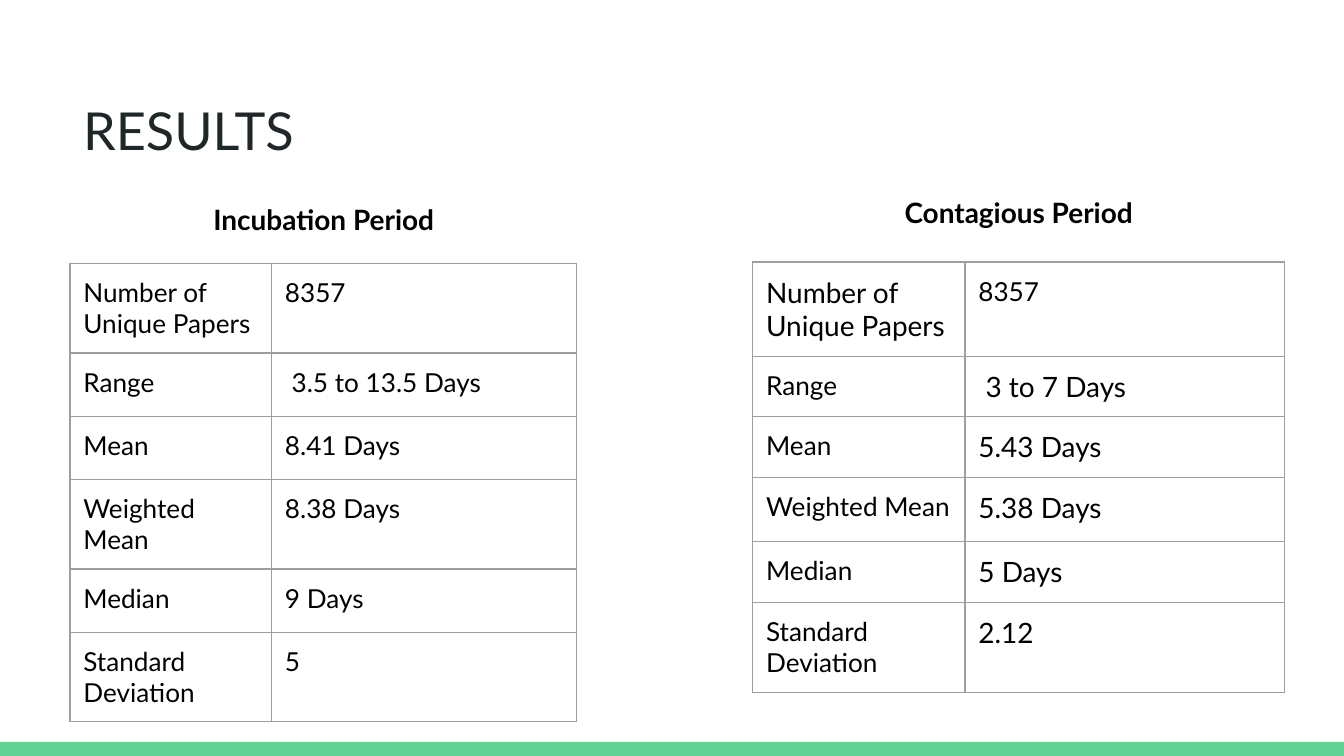
from lxml import etree
from pptx import Presentation
from pptx.dml.color import RGBColor
from pptx.enum import shapes, text
from pptx.oxml.ns import qn
from pptx.util import Inches, Pt

FONT = "Lato"
BLACK = RGBColor(0x00, 0x00, 0x00)
INK = RGBColor(0x20, 0x27, 0x29)
GREEN = RGBColor(0x63, 0xD2, 0x97)
GRAY = RGBColor(0x9E, 0x9E, 0x9E)
PAD = Inches(0.1)
LABELS = ["Number of Unique Papers", "Range", "Mean", "Weighted Mean",
          "Median", "Standard Deviation"]
INCUBATION = ["8357", " 3.5 to 13.5 Days", "8.41 Days", "8.38 Days", "9 Days", "5"]
CONTAGIOUS = ["8357", " 3 to 7 Days", "5.43 Days", "5.38 Days", "5 Days", "2.12"]


def style(par, size, color=BLACK, bold=False):
    """Set the font of a paragraph."""
    font = par.font
    font.name, font.size, font.bold = FONT, Pt(size), bold
    font.color.rgb = color


def add_text(slide, box, words, size, color=BLACK, bold=False):
    """Place a padded text box and return its frame."""
    frame = slide.shapes.add_textbox(*map(Inches, box)).text_frame
    frame.word_wrap = True
    frame.margin_left = frame.margin_right = PAD
    frame.margin_top = frame.margin_bottom = PAD
    frame.text = words
    style(frame.paragraphs[0], size, color, bold)
    return frame


def add_title(slide, box, words):
    """Place the slide title."""
    frame = add_text(slide, box, words, 28, INK)
    frame.vertical_anchor = text.MSO_ANCHOR.TOP


def add_head(slide, box, words):
    """Place the heading above a table."""
    par = add_text(slide, box, words, 15, bold=True).paragraphs[0]
    par.alignment = text.PP_ALIGN.CENTER
    par.line_spacing = 1.15


def add_bar(slide, box):
    """Place the green bar at the foot."""
    bar = slide.shapes.add_shape(shapes.MSO_SHAPE.RECTANGLE, *map(Inches, box))
    bar.shadow.inherit = False
    bar.fill.solid()
    bar.fill.fore_color.rgb = GREEN
    bar.line.fill.background()


def add_edges(cell):
    """Draw a thin gray line on each side of a cell."""
    props = cell._tc.get_or_add_tcPr()
    for side in ("lnL", "lnR", "lnT", "lnB"):
        line = etree.SubElement(props, qn(f"a:{side}"), w=str(Pt(0.75)))
        fill = etree.SubElement(line, qn("a:solidFill"))
        etree.SubElement(fill, qn("a:srgbClr"), val=str(GRAY))


def add_stats(slide, left, top, widths, heights, values, sizes):
    """Place a table of labels and values, with a pair of sizes per row."""
    box = map(Inches, (left, top, sum(widths), sum(heights)))
    table = slide.shapes.add_table(len(LABELS), 2, *box).table
    table.first_row = table.horz_banding = False
    for col, width in zip(table.columns, widths):
        col.width = Inches(width)
    for row, height, words, pair in zip(table.rows, heights, zip(LABELS, values), sizes):
        row.height = Inches(height)
        for cell, word, size in zip(row.cells, words, pair):
            cell.text = word
            cell.margin_left = cell.margin_right = PAD
            cell.margin_top = cell.margin_bottom = PAD
            style(cell.text_frame.paragraphs[0], size)
            add_edges(cell)
            cell.fill.background()


def main():
    """Build the results slide."""
    deck = Presentation()
    deck.slide_width = Inches(10)
    deck.slide_height = deck.slide_width * 9 // 16
    slide = deck.slides.add_slide(deck.slide_layouts[6])
    add_bar(slide, (0, 5.52, 10, 0.11))
    add_title(slide, (0.52, 0.63, 6.91, 0.69), "RESULTS")
    add_head(slide, (1.31, 1.37, 2.2, 0.46), "Incubation Period")
    add_head(slide, (6.37, 1.32, 2.42, 0.54), "Contagious Period")
    add_stats(slide, 0.52, 1.96, (1.5, 2.27), (0.66, 0.47, 0.47, 0.66, 0.47, 0.66),
              INCUBATION, [(14, 14)] * 6)
    add_stats(slide, 5.6, 1.95, (1.58, 2.38), (0.7, 0.45, 0.45, 0.48, 0.45, 0.67),
              CONTAGIOUS, [(15, 14)] + [(14, 15)] * 5)
    deck.save("out.pptx")


if __name__ == "__main__":
    main()
